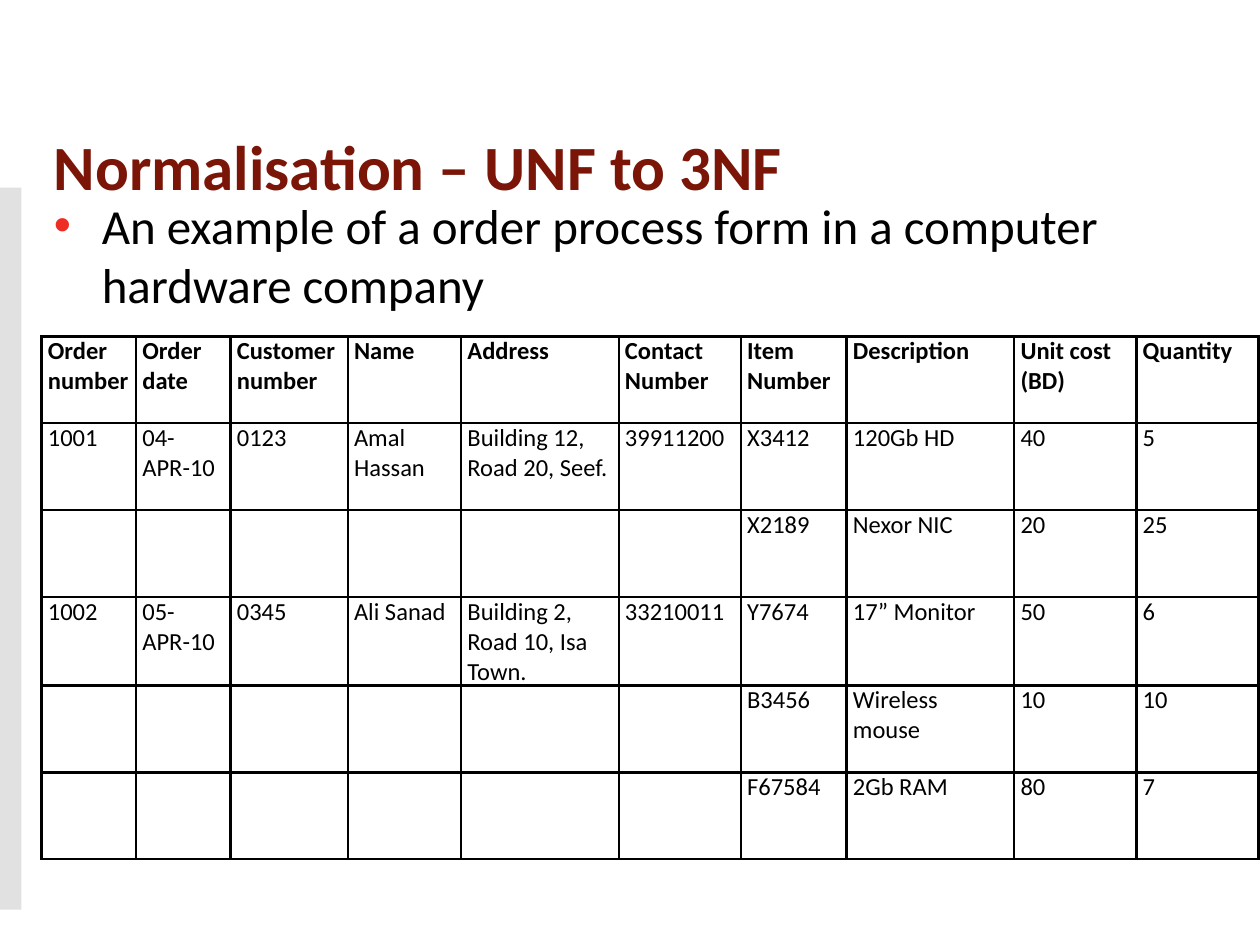
"""Build a slide on normalisation with an order table."""
import dataclasses

import lxml.etree
import pptx
import pptx.dml.color
import pptx.enum.shapes
import pptx.enum.text
import pptx.oxml.ns
import pptx.util

Inches = pptx.util.Inches
Pt = pptx.util.Pt
qn = pptx.oxml.ns.qn
Kind = pptx.enum.shapes.MSO_SHAPE
Anchor = pptx.enum.text.MSO_ANCHOR

FONT = "Calibri"
INK = {"grey": "E1E1E1", "white": "FFFFFF", "title": "7A1508",
       "bullet": "EE2D24", "black": "000000"}
WIDTHS = [0.75, 0.75, 0.93, 0.9, 1.25, 0.97, 0.84, 1.33, 0.97, 0.97]
HIGH = 0.69
GAP = [""] * 6
ROWS = [
    ["Order number", "Order date", "Customer number", "Name", "Address",
     "Contact\nNumber", "Item Number", "Description", "Unit cost (BD)", "Quantity"],
    ["1001", "04-APR-10", "0123", "Amal Hassan", "Building 12, Road 20, Seef.",
     "39911200", "X3412", "120Gb HD", "40", "5"],
    [*GAP, "X2189", "Nexor NIC", "20", "25"],
    ["1002", "05-APR-10", "0345", "Ali Sanad", "Building 2, Road 10, Isa Town.",
     "33210011", "Y7674", "17” Monitor", "50", "6"],
    [*GAP, "B3456", "Wireless mouse", "10", "10"],
    [*GAP, "F67584", "2Gb RAM", "80", "7"],
]


@dataclasses.dataclass
class Panel:
    """A plain filled shape behind the text."""
    kind: int
    left: float
    top: float
    width: float
    height: float
    ink: str


PANELS = [
    Panel(Kind.RECTANGLE, 0, 1.49, 9.8, 4.9, "grey"),
    Panel(Kind.RECTANGLE, 0, 2.9, 4.36, 4.32, "grey"),
    Panel(Kind.ROUNDED_RECTANGLE, 0.17, 0.92, 10, 7, "white"),
]


def tint(name: str) -> pptx.dml.color.RGBColor:
    """Return a named colour."""
    return pptx.dml.color.RGBColor.from_string(INK[name])


def write(frame, text: str, *, size: float, ink: str = "black",
          bold: bool = False, anchor=Anchor.TOP) -> None:
    """Fill a text frame, one paragraph a line."""
    frame.word_wrap = True
    frame.vertical_anchor = anchor
    frame.text = text
    for para in frame.paragraphs:
        para.font.size = Pt(size)
        for run in para.runs:
            run.font.name = FONT
            run.font.size = Pt(size)
            run.font.bold = bold
            run.font.color.rgb = tint(ink)


def add_panel(slide, panel: Panel) -> None:
    """Draw one panel."""
    shape = slide.shapes.add_shape(
        panel.kind, Inches(panel.left), Inches(panel.top),
        Inches(panel.width), Inches(panel.height))
    shape.shadow.inherit = False
    shape.fill.solid()
    shape.fill.fore_color.rgb = tint(panel.ink)
    shape.line.fill.background()
    if panel.kind == Kind.ROUNDED_RECTANGLE:
        shape.adjustments[0] = 0.022


def add_box(slide, left: float, top: float, width: float, height: float):
    """Add a text box and return its frame."""
    return slide.shapes.add_textbox(
        Inches(left), Inches(top), Inches(width), Inches(height)).text_frame


def add_bullet(para, indent: float) -> None:
    """Give a paragraph a hanging round bullet."""
    props = para._p.get_or_add_pPr()
    props.set("marL", str(Inches(indent)))
    props.set("indent", str(-Inches(indent)))
    ink = lxml.etree.SubElement(props, qn("a:buClr"))
    lxml.etree.SubElement(ink, qn("a:srgbClr"), val=INK["bullet"])
    lxml.etree.SubElement(props, qn("a:buFont"), typeface="Arial")
    lxml.etree.SubElement(props, qn("a:buChar"), char="•")
    for node in props.findall(qn("a:defRPr")):
        props.append(node)


def rule(cell) -> None:
    """Draw black lines on all sides of a cell."""
    props = cell._tc.get_or_add_tcPr()
    for side in ("lnL", "lnR", "lnT", "lnB"):
        line = lxml.etree.SubElement(props, qn(f"a:{side}"), w=str(Pt(1.5)))
        fill = lxml.etree.SubElement(line, qn("a:solidFill"))
        lxml.etree.SubElement(fill, qn("a:srgbClr"), val=INK["black"])


def add_grid(slide, left: float, top: float) -> None:
    """Draw the order table."""
    grid = slide.shapes.add_table(
        len(ROWS), len(WIDTHS), Inches(left), Inches(top),
        Inches(sum(WIDTHS)), Inches(HIGH * len(ROWS))).table
    grid.first_row = False
    grid.horz_banding = False
    for col, width in zip(grid.columns, WIDTHS):
        col.width = Inches(width)
    for i, texts in enumerate(ROWS):
        grid.rows[i].height = Inches(HIGH)
        for j, text in enumerate(texts):
            cell = grid.cell(i, j)
            cell.margin_left = cell.margin_right = Inches(0.05)
            cell.margin_top = cell.margin_bottom = 0
            rule(cell)
            cell.fill.background()
            write(cell.text_frame, text, size=14, bold=i == 0)


def main() -> None:
    """Build and save the slide."""
    deck = pptx.Presentation()
    deck.slide_width, deck.slide_height = Inches(10), Inches(7.5)
    slide = deck.slides.add_slide(deck.slide_layouts[6])
    for panel in PANELS:
        add_panel(slide, panel)
    write(add_box(slide, 0.33, 0.75, 9.17, 1.12), "Normalisation – UNF to 3NF",
          size=36, ink="title", bold=True, anchor=Anchor.MIDDLE)
    body = add_box(slide, 0.33, 1.5, 9.5, 1.25)
    write(body, "An example of a order process form in a computer hardware company",
          size=28)
    add_bullet(body.paragraphs[0], 0.38)
    add_grid(slide, 0.33, 2.67)
    deck.save("out.pptx")


if __name__ == "__main__":
    main()
